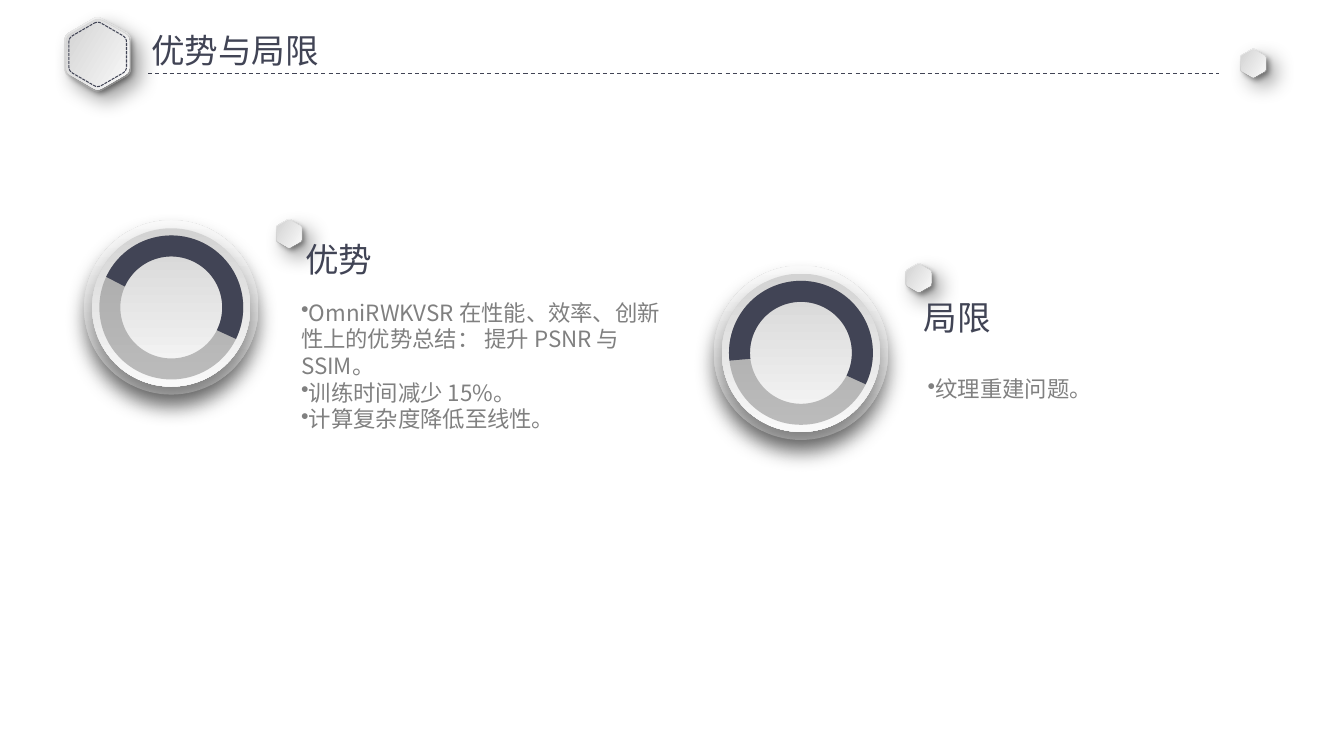
"""Build the slide comparing strengths and limits."""
from math import cos, pi, sin
from lxml.etree import SubElement
from pptx import Presentation
from pptx.dml.color import RGBColor
from pptx.enum.dml import MSO_LINE
from pptx.enum.shapes import MSO_CONNECTOR, MSO_SHAPE
from pptx.enum.text import MSO_ANCHOR
from pptx.oxml.ns import qn
from pptx.util import Inches, Pt

FACE = "Noto Sans CJK SC"
NAVY, GRAY = "414455", "808080"
rgb = RGBColor.from_string


def shade(shape, turn, blur, dist, aim):
    """Give a shape the silver gradient and a soft shadow."""
    shape.line.fill.background()
    shape.fill.gradient()
    for stop, tone in zip(shape.fill.gradient_stops, ("D3D3D3", "F9F9F9")):
        stop.color.rgb = rgb(tone)
    shape.fill.gradient_angle = (360 - turn) % 360
    shape.shadow.inherit = False
    glow = SubElement(shape._element.spPr.find(qn("a:effectLst")), qn("a:outerShdw"),
                      blurRad=str(Pt(blur)), dist=str(Pt(dist)),
                      dir=str(aim * 60000), algn="ctr", rotWithShape="0")
    tint = SubElement(glow, qn("a:srgbClr"), val="000000")
    SubElement(tint, qn("a:alpha"), val="40000")


def write(shape, box, lines, size, tone, frame, mark=False):
    """Place a text shape and fill it with formatted paragraphs."""
    for name, value in zip(("left", "top", "width", "height"), box):
        setattr(shape, name, Inches(value))
    body = shape.text_frame
    for name, value in {"word_wrap": True, **frame}.items():
        setattr(body, name, value)
    for i, line in enumerate(lines):
        para = body.paragraphs[0] if i == 0 else body.add_paragraph()
        if mark:
            SubElement(para._p.get_or_add_pPr(), qn("a:buChar"), char="•")
            para.line_spacing = Pt(19)
        run = para.add_run()
        run.text = line
        for name, value in {"size": Pt(size), "name": FACE, "bold": False}.items():
            setattr(run.font, name, value)
        run.font.color.rgb = rgb(tone)
        SubElement(run._r.get_or_add_rPr(), qn("a:ea"), typeface=FACE)


deck = Presentation()
deck.slide_width, deck.slide_height = Inches(13.34), Inches(7.5)
slide = deck.slides.add_slide(deck.slide_layouts[5])
shapes = slide.shapes

title = shapes.title
write(title, (1.43, 0.26, 3.66, 0.48), ["优势与局限"], 24, NAVY,
      {"vertical_anchor": MSO_ANCHOR.MIDDLE, "margin_left": Inches(0.07),
       "margin_right": Inches(0.07), "margin_top": Inches(0.04),
       "margin_bottom": Inches(0.04)})
title.text_frame.paragraphs[0].alignment = 1

rule = shapes.add_connector(MSO_CONNECTOR.STRAIGHT, Inches(1.47), Inches(0.73),
                            Inches(12.1), Inches(0.73))
rule.line.color.rgb = rgb(NAVY)
rule.line.width = Pt(0.75)
rule.line.dash_style = MSO_LINE.DASH
SubElement(rule._element.spPr, qn("a:effectLst"))

for x, y, radii in ((12.44, 0.63, (0.15, 0.14)), (0.97, 0.54, (0.38, 0.36, 0.33)),
                    (2.87, 2.32, (0.15, 0.14)), (9.12, 2.76, (0.15, 0.14))):
    for layer, rad in enumerate(radii):
        tips = [(x + rad * sin(k * pi / 3), y - rad * cos(k * pi / 3)) for k in range(6)]
        dots = []
        for k, tip in enumerate(tips):
            ends = tips[k - 1], tips[(k + 1) % 6]
            for t in (0, 0.25, 0.5, 0.75, 1):
                pull = 0.13 * (1 - t) ** 2, 0.13 * t ** 2
                dots.append([Inches(c + pull[0] * (a - c) + pull[1] * (b - c))
                             for c, a, b in zip(tip, *ends)])
        pen = shapes.build_freeform(*dots[0])
        pen.add_line_segments(dots[1:], close=True)
        hexa = pen.convert_to_shape()
        if layer < 2:
            shade(hexa, (301, 31)[layer], (15, 4)[layer], (9, 3)[layer], 45)
        else:
            hexa.fill.background()
            hexa.shadow.inherit = False
            hexa.line.color.rgb = rgb(NAVY)
            hexa.line.width = Pt(0.75)
            hexa.line.dash_style = MSO_LINE.SQUARE_DOT

topics = (
    (1.7, 3.05, 204.8, "优势", (2.93, 2.32), (2.89, 2.92, 3.84, 1.42),
     ["OmniRWKVSR 在性能、效率、创新性上的优势总结： 提升 PSNR 与 SSIM。",
      "训练时间减少 15%。", "计算复杂度降低至线性。"]),
    (7.95, 3.5, 173.56, "局限", (9.07, 2.9), (9.11, 3.68, 3.84, 0.37),
     ["纹理重建问题。"]),
)
for x, y, start, head, spot, box, lines in topics:
    for wide, turn in ((1.73, 270), (1.57, 90)):
        disc = shapes.add_shape(MSO_SHAPE.OVAL, Inches(x - wide / 2),
                                Inches(y - wide / 2), Inches(wide), Inches(wide))
        shade(disc, turn, 15, 9, 90)
    for kind, tone in ((MSO_SHAPE.OVAL, GRAY), (MSO_SHAPE.ARC, NAVY)):
        ring = shapes.add_shape(kind, Inches(x - 0.61), Inches(y - 0.61),
                                Inches(1.22), Inches(1.22))
        ring.fill.background()
        ring.shadow.inherit = False
        ring.line.color.rgb = rgb(tone)
        ring.line.width = Pt(15)
        if kind == MSO_SHAPE.ARC:
            ring.adjustments[0] = start * 0.6
            ring.adjustments[1] = 26.15 * 0.6
        else:
            tint = ring.line._ln.find(".//" + qn("a:srgbClr"))
            SubElement(tint, qn("a:alpha"), val="50000")
    write(shapes.add_textbox(0, 0, 0, 0), (*spot, 2.61, 0.5), [head], 24, NAVY, {})
    write(shapes.add_textbox(0, 0, 0, 0), box, lines, 16, GRAY, {}, mark=True)

deck.save("out.pptx")
